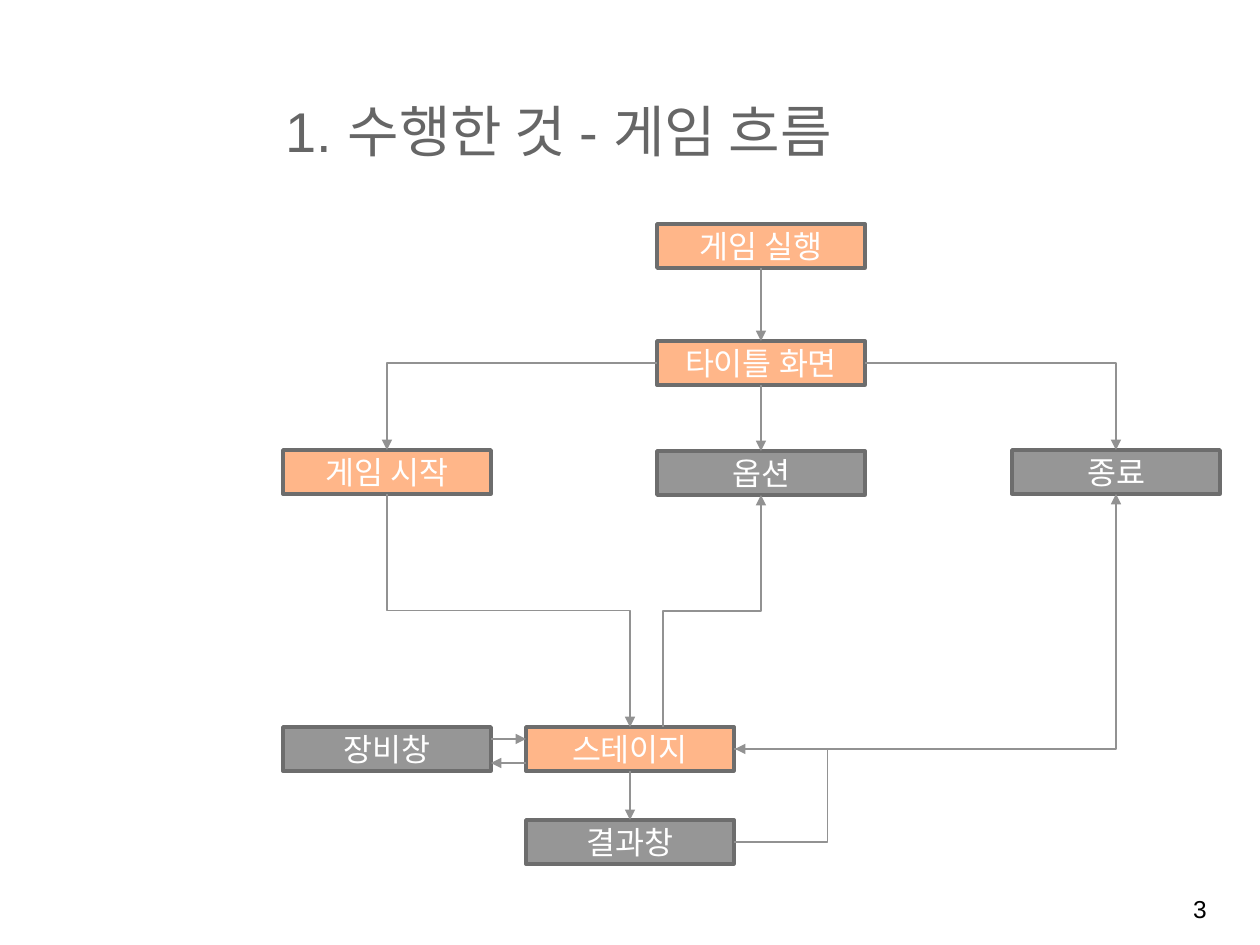
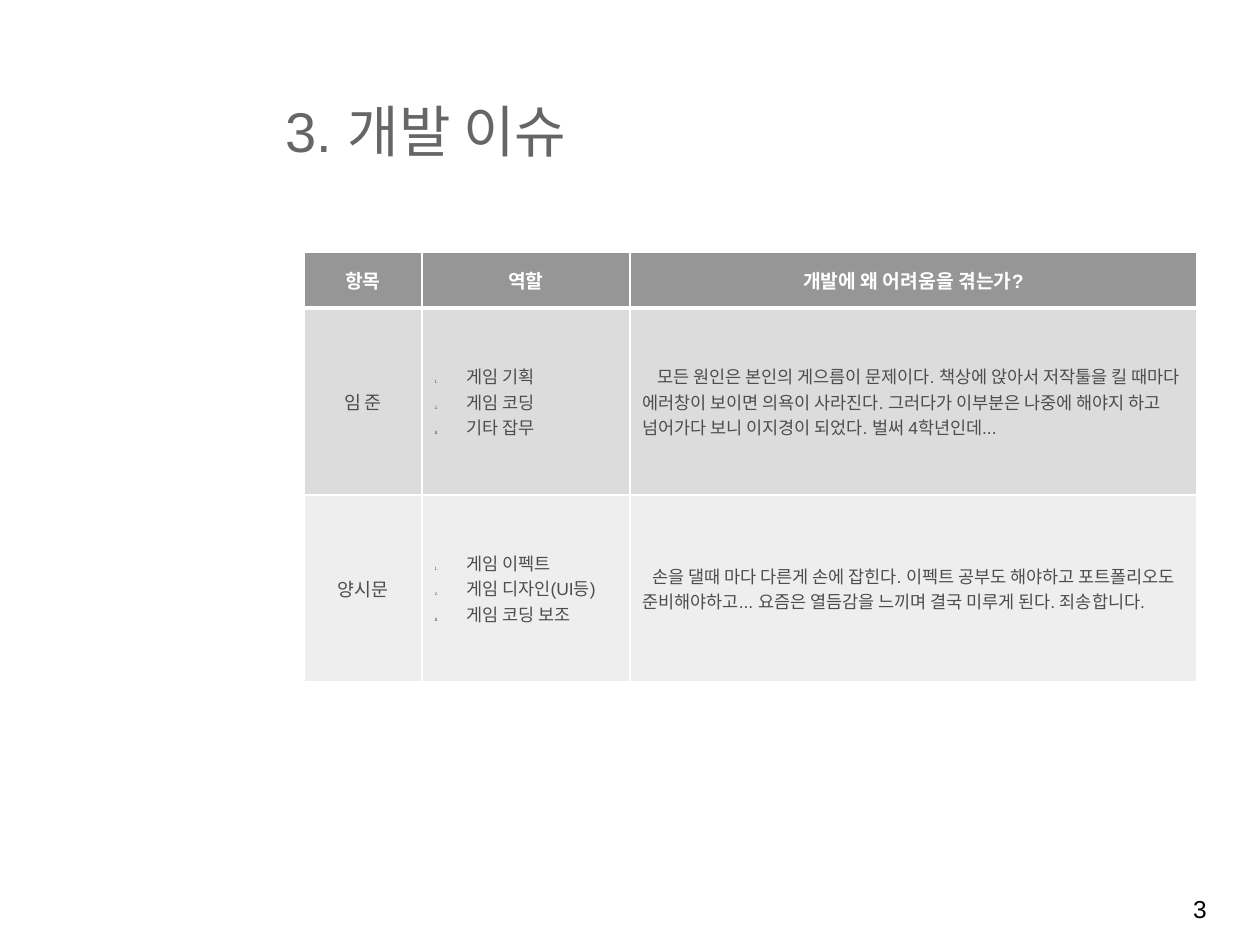
"""Build two slides: a game flow chart and a table of development issues."""
import pptx
import pptx.dml.color
import pptx.enum.shapes
import pptx.enum.text
import pptx.oxml.ns
import pptx.util
from lxml import etree

RGBColor = pptx.dml.color.RGBColor
WHITE = RGBColor(0xFF, 0xFF, 0xFF)
BLACK = RGBColor(0, 0, 0)
TITLE_GRAY = RGBColor(0x66, 0x66, 0x66)
BODY_GRAY = RGBColor(0x4D, 0x4D, 0x4D)
BORDER_GRAY = RGBColor(0x6D, 0x6D, 0x6D)
ARROW_GRAY = RGBColor(0x92, 0x92, 0x92)
GRAY = RGBColor(0x96, 0x96, 0x96)
ORANGE = RGBColor(0xFF, 0xB6, 0x89)
BAND_FILLS = (GRAY, RGBColor(0xDC, 0xDC, 0xDC), RGBColor(0xEE, 0xEE, 0xEE))

LEFT = pptx.enum.text.PP_ALIGN.LEFT
CENTER = pptx.enum.text.PP_ALIGN.CENTER
MIDDLE = pptx.enum.text.MSO_ANCHOR.MIDDLE
TOP = pptx.enum.text.MSO_ANCHOR.TOP
STRAIGHT = pptx.enum.shapes.MSO_CONNECTOR.STRAIGHT
ELBOW = pptx.enum.shapes.MSO_CONNECTOR.ELBOW

EMU_PER_PX = 914400 / 126
SLIDE_SIZE = (1260, 945)
TITLE_AREA = (273, 66, 630, 128)
NUMBER_AREA = (1140, 888, 120, 53)
PAGE_NUMBER = "3"


def font_format(points, color, bold=False):
    return {"name": "Arial", "size": pptx.util.Pt(points), "bold": bold, "color": color}


TITLE_FONT = font_format(32, TITLE_GRAY)
NUMBER_FONT = font_format(14, BLACK)
BOX_FONT = font_format(18, WHITE)
HEADER_FONT = font_format(11, WHITE, True)
NAME_FONT = font_format(10.5, BODY_GRAY)
CELL_FONT = font_format(10, BODY_GRAY)

FLOW_TITLE = "1. 수행한 것 - 게임 흐름"
BOX_SIZE = (208, 44)
FLOW_BOXES = {
    "게임 실행": (657, 224, ORANGE),
    "타이틀 화면": (657, 341, ORANGE),
    "종료": (1012, 450, GRAY),
    "옵션": (657, 451, GRAY),
    "게임 시작": (283, 450, ORANGE),
    "스테이지": (526, 727, ORANGE),
    "장비창": (283, 727, GRAY),
    "결과창": (526, 820, GRAY),
}
FLOW_ARROWS = [
    ("straight", ("게임 실행", "bottom", 0), ("타이틀 화면", "top", 0)),
    ("corner", ("타이틀 화면", "left", 0), ("게임 시작", "top", 0)),
    ("corner", ("타이틀 화면", "right", 0), ("종료", "top", 0)),
    ("straight", ("타이틀 화면", "bottom", 0), ("옵션", "top", 0)),
    ("step", ("게임 시작", "bottom", 0), ("스테이지", "top", 0)),
    ("step", ("스테이지", "top", 33), ("옵션", "bottom", 0)),
    ("straight", ("장비창", "right", -10), ("스테이지", "left", -10)),
    ("straight", ("스테이지", "left", 14), ("장비창", "right", 14)),
    ("straight", ("스테이지", "bottom", 0), ("결과창", "top", 0)),
    ("loop", ("결과창", "right", 0), ("스테이지", "right", 0)),
    ("corner", ("스테이지", "right", 0), ("종료", "bottom", 0)),
]
LOOP_REACH = 94

ISSUE_TITLE = "3. 개발 이슈"
ISSUE_HEADERS = ["항목", "역할", "개발에 왜 어려움을 겪는가?"]
ISSUES = [
    ("임 준", ["게임 기획", "게임 코딩", "기타 잡무"], 15,
     "모든 원인은 본인의 게으름이 문제이다. 책상에 앉아서 저작툴을 킬 때마다 "
     "에러창이 보이면 의욕이 사라진다. 그러다가 이부분은 나중에 해야지 하고 "
     "넘어가다 보니 이지경이 되었다. 벌써 4학년인데..."),
    ("양시문", ["게임 이펙트", "게임 디자인(UI등)", "게임 코딩 보조"], 10,
     "손을 댈때 마다 다른게 손에 잡힌다. 이펙트 공부도 해야하고 "
     "포트폴리오도 준비해야하고... 요즘은 열듬감을 느끼며 결국 미루게 된다. "
     "죄송합니다."),
]
TABLE_ORIGIN = (304, 252)
COLUMN_WIDTHS = (118, 208, 567)
ROW_HEIGHTS = (56, 187, 187)
LIST_INDENT = 32


def px(length):
    return pptx.util.Emu(round(length * EMU_PER_PX))


def add_xml(parent, tag, **attributes):
    return etree.SubElement(parent, pptx.oxml.ns.qn(tag), attributes)


def apply_format(font, values):
    for name, value in values.items():
        if name == "color":
            font.color.rgb = value
        else:
            setattr(font, name, value)


def write_text(frame, lines, font, alignment=LEFT):
    frame.word_wrap = True
    for index, line in enumerate(lines):
        paragraph = frame.paragraphs[0] if index == 0 else frame.add_paragraph()
        paragraph.alignment = alignment
        run = paragraph.add_run()
        run.text = line
        apply_format(run.font, font)


def add_label(slide, area, text, font, alignment, anchor):
    label = slide.shapes.add_textbox(*map(px, area))
    write_text(label.text_frame, [text], font, alignment)
    label.text_frame.vertical_anchor = anchor


def add_slide(presentation, title):
    slide = presentation.slides.add_slide(presentation.slide_layouts[6])
    add_label(slide, TITLE_AREA, title, TITLE_FONT, LEFT, MIDDLE)
    add_label(slide, NUMBER_AREA, PAGE_NUMBER, NUMBER_FONT, CENTER, TOP)
    return slide


def add_flow_box(slide, text, left, top, color):
    rectangle = pptx.enum.shapes.MSO_SHAPE.RECTANGLE
    box = slide.shapes.add_shape(rectangle, *map(px, (left, top, *BOX_SIZE)))
    box.shadow.inherit = False
    box.fill.solid()
    box.fill.fore_color.rgb = color
    box.line.color.rgb = BORDER_GRAY
    box.line.width = pptx.util.Pt(2)
    write_text(box.text_frame, [text], BOX_FONT, CENTER)
    box.text_frame.vertical_anchor = MIDDLE


def box_point(name, side, offset):
    left, top, _ = FLOW_BOXES[name]
    width, height = BOX_SIZE
    if side in ("top", "bottom"):
        return left + width / 2 + offset, top + (height if side == "bottom" else 0)
    return left + (width if side == "right" else 0), top + height / 2 + offset


def add_flow_arrow(slide, route, start, end):
    x1, y1 = box_point(*start)
    x2, y2 = box_point(*end)
    if route == "step":
        center_x, center_y = (x1 + x2) / 2, (y1 + y2) / 2
        half_x, half_y = (x2 - x1) / 2, (y2 - y1) / 2
        x1, x2 = center_x - half_y, center_x + half_y
        y1, y2 = center_y + half_x, center_y - half_x
    if route == "loop":
        x2 += 1
    kind = STRAIGHT if route == "straight" else ELBOW
    arrow = slide.shapes.add_connector(kind, *map(px, (x1, y1, x2, y2)))
    arrow.line.color.rgb = ARROW_GRAY
    arrow.line.width = pptx.util.Pt(0.75)
    properties = arrow._element.spPr
    geometry = properties.find(pptx.oxml.ns.qn("a:prstGeom"))
    if route == "step":
        properties.find(pptx.oxml.ns.qn("a:xfrm")).set("rot", "5400000")
    elif route == "corner":
        geometry.set("prst", "bentConnector2")
    elif route == "loop":
        adjustments = geometry.find(pptx.oxml.ns.qn("a:avLst"))
        add_xml(adjustments, "a:gd", name="adj1", fmla=f"val {LOOP_REACH * 100000}")
    add_xml(arrow.line._get_or_add_ln(), "a:tailEnd", type="triangle")
    add_xml(properties, "a:effectLst")


def number_paragraphs(paragraphs):
    for paragraph in paragraphs:
        properties = paragraph._p.get_or_add_pPr()
        properties.set("marL", str(px(LIST_INDENT)))
        properties.set("indent", str(px(-LIST_INDENT)))
        color = BLACK if paragraph is paragraphs[-1] else BODY_GRAY
        add_xml(add_xml(properties, "a:buClr"), "a:srgbClr", val=str(color))
        add_xml(properties, "a:buSzPct", val="25000")
        add_xml(properties, "a:buAutoNum", type="arabicPeriod")


def style_cell(cell, row):
    properties = cell._tc.get_or_add_tcPr()
    thick_edge = {0: "B", 1: "T"}.get(row)
    for edge in "LRTB":
        width = pptx.util.Pt(3 if edge == thick_edge else 1)
        border = add_xml(properties, f"a:ln{edge}", w=str(width))
        add_xml(add_xml(border, "a:solidFill"), "a:srgbClr", val=str(WHITE))
    cell.fill.solid()
    cell.fill.fore_color.rgb = BAND_FILLS[row]
    cell.vertical_anchor = MIDDLE


def add_issue_table(slide):
    size = (sum(COLUMN_WIDTHS), sum(ROW_HEIGHTS))
    area = map(px, TABLE_ORIGIN + size)
    table = slide.shapes.add_table(len(ROW_HEIGHTS), len(COLUMN_WIDTHS), *area).table
    for column, width in zip(table.columns, COLUMN_WIDTHS):
        column.width = px(width)
    for index, height in enumerate(ROW_HEIGHTS):
        table.rows[index].height = px(height)
        for cell in table.rows[index].cells:
            style_cell(cell, index)
    for column, header in enumerate(ISSUE_HEADERS):
        write_text(table.cell(0, column).text_frame, [header], HEADER_FONT, CENTER)
    for row, (name, roles, first_indent, reason) in enumerate(ISSUES, 1):
        name_frame, role_frame, reason_frame = (
            table.cell(row, column).text_frame for column in range(3))
        write_text(name_frame, [name], NAME_FONT, CENTER)
        write_text(role_frame, roles, CELL_FONT)
        number_paragraphs(role_frame.paragraphs)
        write_text(reason_frame, [reason], CELL_FONT)
        reason_properties = reason_frame.paragraphs[0]._p.get_or_add_pPr()
        reason_properties.set("indent", str(px(first_indent)))


def main():
    presentation = pptx.Presentation()
    presentation.slide_width, presentation.slide_height = map(px, SLIDE_SIZE)
    flow_slide = add_slide(presentation, FLOW_TITLE)
    for text, (left, top, color) in FLOW_BOXES.items():
        add_flow_box(flow_slide, text, left, top, color)
    for route, start, end in FLOW_ARROWS:
        add_flow_arrow(flow_slide, route, start, end)
    add_issue_table(add_slide(presentation, ISSUE_TITLE))
    presentation.save("out.pptx")


if __name__ == "__main__":
    main()
